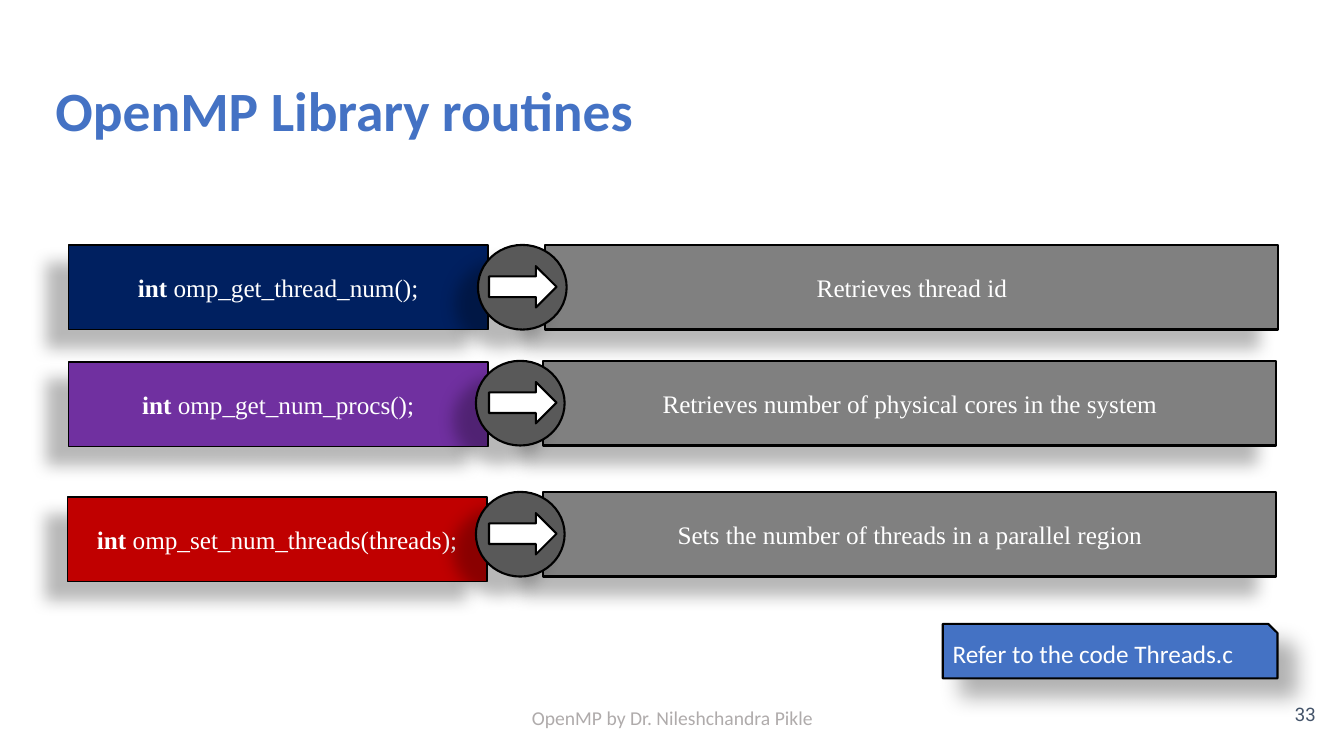
import dataclasses

import pptx
import pptx.dml.color
import pptx.enum.shapes
import pptx.enum.text
import pptx.oxml
import pptx.oxml.ns
import pptx.util

Inches = pptx.util.Inches
Pt = pptx.util.Pt
Shape = pptx.enum.shapes.MSO_SHAPE
Align = pptx.enum.text.PP_ALIGN
Anchor = pptx.enum.text.MSO_ANCHOR


@dataclasses.dataclass(frozen=True)
class Theme:
    blue: str = "4472C4"
    navy: str = "002060"
    purple: str = "7030A0"
    red: str = "C00000"
    gray: str = "808080"
    dark_gray: str = "595959"
    footer_gray: str = "AFABAB"
    slate: str = "44546A"
    white: str = "FFFFFF"
    black: str = "000000"
    sans: str = "Calibri"
    serif: str = "Times New Roman"
    number_font: str = "Roboto"
    title_size: float = 39.6
    body_size: float = 18
    footer_size: float = 14
    number_size: float = 13.3


@dataclasses.dataclass(frozen=True)
class Shadow:
    """Blur and distance in points, direction in degrees, opacity in percent."""
    opacity: int
    blur: float
    distance: float
    direction: int


THEME = Theme()
ROW_SHADOW = Shadow(28, 11.8, 19.7, 141)
NOTE_SHADOW = Shadow(30, 15, 18, 45)

# label top, label left, description top, group left, arrow offset, colour, routine, description
ROUTINES = [
    (2.43, 0.68, 2.43, 4.74, 0.11, THEME.navy,
     "omp_get_thread_num();", "Retrieves thread id"),
    (3.59, 0.68, 3.58, 4.72, 0.13, THEME.purple,
     "omp_get_num_procs();", "Retrieves number of physical cores in the system"),
    (4.93, 0.67, 4.88, 4.72, 0.13, THEME.red,
     "omp_set_num_threads(threads);", "Sets the number of threads in a parallel region"),
]


def rgb(value):
    return pptx.dml.color.RGBColor.from_string(value)


def write_text(shape, *runs, size=THEME.body_size, font=THEME.serif, color=THEME.white,
               align=Align.LEFT, anchor=Anchor.MIDDLE, margin=None):
    """Fill a shape with one paragraph; each run is a (text, bold) pair."""
    frame = shape.text_frame
    frame.word_wrap = True
    frame.auto_size = pptx.enum.text.MSO_AUTO_SIZE.NONE
    frame.vertical_anchor = anchor
    if margin is not None:
        frame.margin_left = frame.margin_right = Inches(margin)
        frame.margin_top = frame.margin_bottom = Inches(margin)
    paragraph = frame.paragraphs[0]
    paragraph.alignment = align
    for text, bold in runs:
        run = paragraph.add_run()
        run.text = text
        run.font.name = font
        run.font.size = Pt(size)
        run.font.bold = bold
        run.font.color.rgb = rgb(color)


def place(shape, left, top, width, height):
    shape.left, shape.top = Inches(left), Inches(top)
    shape.width, shape.height = Inches(width), Inches(height)


def add_shadow(shape, shadow):
    effects = shape._element.spPr.find(pptx.oxml.ns.qn("a:effectLst"))
    effects.append(pptx.oxml.parse_xml(
        f'<a:outerShdw {pptx.oxml.ns.nsdecls("a")} blurRad="{Pt(shadow.blur)}" '
        f'dist="{Pt(shadow.distance)}" dir="{shadow.direction * 60000}" algn="ctr" '
        f'rotWithShape="0"><a:srgbClr val="{THEME.black}">'
        f'<a:alpha val="{shadow.opacity * 1000}"/></a:srgbClr></a:outerShdw>'))


def add_box(shapes, kind, box, fill, line_width=1.5, shadow=None):
    shape = shapes.add_shape(kind, *map(Inches, box))
    shape.fill.solid()
    shape.fill.fore_color.rgb = rgb(fill)
    shape.line.color.rgb = rgb(THEME.black)
    shape.line.width = Pt(line_width)
    shape.shadow.inherit = False
    if shadow:
        add_shadow(shape, shadow)
    return shape


def add_title(slide, box):
    title = slide.shapes.title
    place(title, *box)
    write_text(title, ("OpenMP Library routines", True), size=THEME.title_size,
               font=THEME.sans, color=THEME.blue, anchor=Anchor.TOP, margin=0.1)


def add_footer(slide, number_box, credit_box):
    number = slide.shapes.add_textbox(*map(Inches, number_box))
    write_text(number, ("33", False), size=THEME.number_size, font=THEME.number_font,
               color=THEME.slate, align=Align.RIGHT, margin=0.1)
    credit = slide.shapes.add_textbox(*map(Inches, credit_box))
    write_text(credit, ("OpenMP by Dr. Nileshchandra Pikle", False), size=THEME.footer_size,
               font=THEME.sans, color=THEME.footer_gray, align=Align.CENTER, anchor=Anchor.TOP)


def add_routine_label(slide, box, color, routine):
    label = add_box(slide.shapes, Shape.RECTANGLE, box, color, 1, ROW_SHADOW)
    write_text(label, ("int ", True), (routine, False), align=Align.CENTER)


def add_description(slide, box, arrow_offset, description):
    """Group a circled arrow with the description bar it points to."""
    left, top, width, height = box
    shapes = slide.shapes.add_group_shape().shapes
    bar = add_box(shapes, Shape.RECTANGLE, (left + 0.67, top, width - 0.67, height),
                  THEME.gray, shadow=ROW_SHADOW)
    write_text(bar, (description, False), align=Align.CENTER)
    add_box(shapes, Shape.OVAL, (left, top, 0.88, height), THEME.dark_gray, shadow=ROW_SHADOW)
    add_box(shapes, Shape.RIGHT_ARROW, (left + arrow_offset, top + 0.21, 0.67, 0.41), THEME.white)


def add_code_note(slide, box):
    note = add_box(slide.shapes, Shape.SNIP_1_RECTANGLE, box, THEME.blue, shadow=NOTE_SHADOW)
    write_text(note, ("Refer to the code Threads.c", False), font=THEME.sans)


def main():
    presentation = pptx.Presentation()
    presentation.slide_width = Inches(13.33)
    presentation.slide_height = Inches(7.5)
    slide = presentation.slides.add_slide(presentation.slide_layouts.get_by_name("Title Only"))

    add_title(slide, (0.45, 0.65, 12.42, 0.84))
    add_footer(slide, (12.35, 6.8, 0.8, 0.57), (4.42, 6.95, 4.5, 0.4))
    for label_top, label_left, top, left, arrow_offset, color, routine, description in ROUTINES:
        add_routine_label(slide, (label_left, label_top, 4.16, 0.84), color, routine)
        add_description(slide, (left, top, 7.94, 0.84), arrow_offset, description)
    add_code_note(slide, (9.35, 6.19, 3.32, 0.54))

    presentation.save("out.pptx")


if __name__ == "__main__":
    main()
